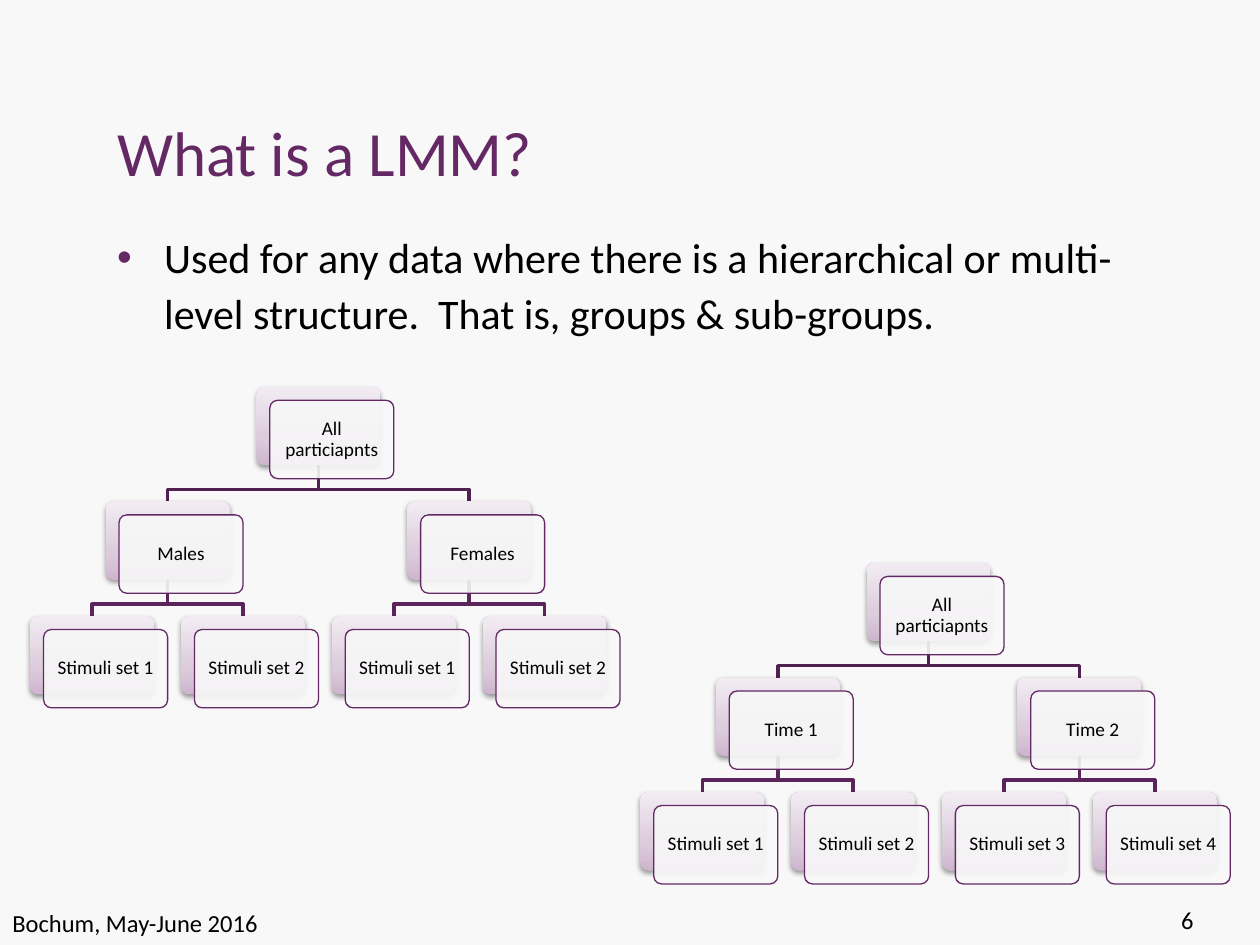
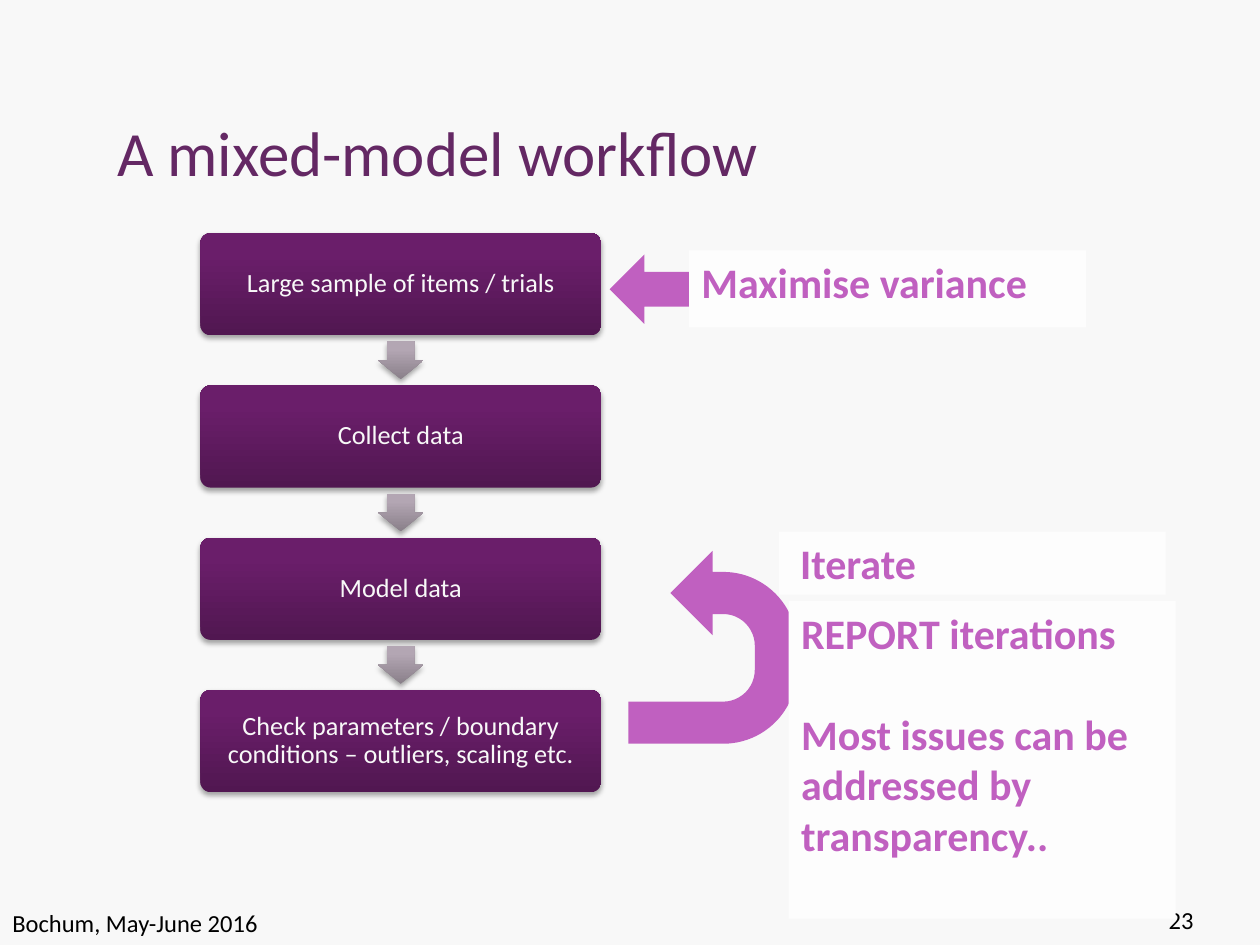
from pptx import Presentation
from pptx.dml.color import RGBColor
from pptx.enum.shapes import MSO_SHAPE as Preset
from pptx.enum.text import MSO_ANCHOR as Anchor, PP_ALIGN as Align
from pptx.oxml import parse_xml
from pptx.oxml.ns import nsdecls, qn
from pptx.util import Cm, Pt

COLORS = {
    "paper": "F8F8F8", "ink": "000000", "plum": "642864",
    "trunk": "502050", "branch": "5B245B",
    "orchid": "C060C0", "note": "FDFDFD",
}
RGB = {name: RGBColor.from_string(value) for name, value in COLORS.items()}
NODE_STOPS = [(0, "CEB6CE"), (35, "DCCCDC"), (100, "F2ECF2")]
STEP_STOPS = [(0, "511751"), (80, "6A1E6A"), (100, "6C1D6C")]
ARROW_STOPS = [(0, "8A808A"), (80, "B3A6B3"), (100, "B5A6B5")]


def write(shape, lines, size, color="ink", align=Align.LEFT, anchor=Anchor.TOP,
          bold=False, spacing=None, inset=None, wrap=True):
    frame = shape.text_frame
    frame.word_wrap = wrap
    frame.vertical_anchor = anchor
    if inset is not None:
        frame.margin_left = frame.margin_right = Cm(inset)
        frame.margin_top = frame.margin_bottom = Cm(inset)
    frame.text = "\n".join(lines)
    for paragraph in frame.paragraphs:
        paragraph.alignment = align
        paragraph.line_spacing = spacing
        paragraph.font.name = "Calibri"
        paragraph.font.size = Pt(size)
        paragraph.font.bold = bold
        paragraph.font.color.rgb = RGB[color]
    return frame.paragraphs


def shade(shape, stops, distance, opacity):
    gradient = "".join(
        f'<a:gs pos="{pos * 1000}"><a:srgbClr val="{value}"/></a:gs>' for pos, value in stops)
    properties = shape.element.spPr
    properties.append(parse_xml(
        f'<a:gradFill {nsdecls("a")} rotWithShape="1"><a:gsLst>{gradient}</a:gsLst>'
        '<a:lin ang="16200000" scaled="0"/></a:gradFill>'))
    shape.line.fill.background()
    properties.append(parse_xml(
        f'<a:effectLst {nsdecls("a")}><a:outerShdw blurRad="{Pt(3.1)}" dist="{Pt(distance)}" '
        'dir="5400000" rotWithShape="0"><a:srgbClr val="000000">'
        f'<a:alpha val="{opacity * 1000}"/></a:srgbClr></a:outerShdw></a:effectLst>'))


prs = Presentation()
prs.slide_width, prs.slide_height = Cm(25.4), Cm(19.05)
prs.slide_master.background.fill.solid()
prs.slide_master.background.fill.fore_color.rgb = RGB["paper"]

pages = []
for title, number in [("What is a LMM?", "6"), ("A mixed-model workflow", "23")]:
    page = prs.slides.add_slide(prs.slide_layouts[6])
    footer = page.shapes.add_textbox(Cm(0), Cm(18.19), Cm(17.6), Cm(1.32))
    write(footer, ["Bochum, May-June 2016"], 14)
    heading = page.shapes.add_textbox(Cm(2.11), Cm(0.76), Cm(17.2), Cm(3.18))
    write(heading, [title], 36, "plum", anchor=Anchor.BOTTOM, wrap=False)
    page_number = page.shapes.add_textbox(Cm(22.43), Cm(18.11), Cm(1.88), Cm(1.32))
    write(page_number, [number], 14, align=Align.RIGHT)
    pages.append(page.shapes)
definition, workflow = pages

usage = definition.add_textbox(Cm(2.11), Cm(4.45), Cm(22.02), Cm(12.07))
[bullet] = write(usage, ["Used for any data where there is a hierarchical or multi-level structure.  "
                         "That is, groups & sub-groups."], 24, spacing=1.1)
bullet.space_before = Pt(4.8)
bullet_format = bullet._p.get_or_add_pPr()
bullet_format.set("marL", str(Cm(0.95)))
bullet_format.set("indent", str(Cm(-0.95)))
for mark in [f'<a:buClr {nsdecls("a")}><a:srgbClr val="{COLORS["plum"]}"/></a:buClr>',
             f'<a:buFont {nsdecls("a")} typeface="Arial"/>',
             f'<a:buChar {nsdecls("a")} char="•"/>']:
    bullet_format.insert_element_before(parse_xml(mark), "a:tabLst", "a:defRPr", "a:extLst")

NODE_W, NODE_H, NODE_SHIFT = 2.5, 1.58, 0.27
COLUMN_STEP, LEVEL_STEP, STEM = 3.04, 2.31, 0.49
NODE_SPOTS = [(0, 1.5), (1, 0.5), (2, 0), (2, 1), (1, 2.5), (2, 2), (2, 3)]
LINKS = [(1, 2.5, 0.5, "branch"), (0, 1.5, 1, "trunk"), (1, 0.5, 0.5, "branch")]
trees = [
    (0.61, 7.8, ["All particiapnts", "Males", "Stimuli set 1", "Stimuli set 2",
                 "Females", "Stimuli set 1", "Stimuli set 2"]),
    (12.91, 11.35, ["All particiapnts", "Time 1", "Stimuli set 1", "Stimuli set 2",
                    "Time 2", "Stimuli set 3", "Stimuli set 4"]),
]
for tree_left, tree_top, labels in trees:
    for level, column, spread, color in LINKS:
        parent_x = tree_left + column * COLUMN_STEP + NODE_W / 2
        parent_y = tree_top + level * LEVEL_STEP + NODE_H
        child_y = tree_top + (level + 1) * LEVEL_STEP
        for side in (1, -1):
            child_x = parent_x + side * spread * COLUMN_STEP
            route = definition.build_freeform(Cm(parent_x), Cm(parent_y))
            route.add_line_segments(
                [(Cm(parent_x), Cm(parent_y + STEM)), (Cm(child_x), Cm(parent_y + STEM)),
                 (Cm(child_x), Cm(child_y))], close=False)
            link = route.convert_to_shape()
            link.shadow.inherit = False
            link.fill.background()
            link.line.color.rgb = RGB[color]
            link.line.width = Pt(2)

    for (level, column), label in zip(NODE_SPOTS, labels):
        x = tree_left + column * COLUMN_STEP
        y = tree_top + level * LEVEL_STEP
        backing, card = [
            definition.add_shape(Preset.ROUNDED_RECTANGLE, Cm(x + shift), Cm(y + shift),
                                 Cm(NODE_W), Cm(NODE_H)) for shift in (0, NODE_SHIFT)]
        backing.adjustments[0] = card.adjustments[0] = 0.1
        shade(backing, NODE_STOPS, 1.6, 38)
        card.shadow.inherit = False
        card.fill.solid()
        card.fill.fore_color.rgb = RGB["paper"]
        tint = card.element.spPr.find(qn("a:solidFill"))[0]
        tint.append(parse_xml(f'<a:alpha {nsdecls("a")} val="90000"/>'))
        card.line.color.rgb = RGB["plum"]
        card.line.width = Pt(0.75)
        write(card, [label], 11, align=Align.CENTER, anchor=Anchor.MIDDLE, spacing=0.9, inset=0.13)

STEP_LEFT, STEP_TOP, STEP_W, STEP_H, STEP_PITCH = 4.04, 4.7, 8.08, 2.06, 3.07
ARROW_W, ARROW_H = 0.91, 0.76
steps = ["Large sample of items / trials", "Collect data", "Model data",
         "Check parameters / boundary conditions – outliers, scaling etc."]
for index, label in enumerate(steps):
    y = STEP_TOP + index * STEP_PITCH
    if index:
        gap_middle = y - (STEP_PITCH - STEP_H) / 2
        arrow = workflow.add_shape(
            Preset.DOWN_ARROW, Cm(STEP_LEFT + (STEP_W - ARROW_W) / 2),
            Cm(gap_middle - ARROW_H / 2), Cm(ARROW_W), Cm(ARROW_H))
        arrow.adjustments[0], arrow.adjustments[1] = 0.6, 0.5
        shade(arrow, ARROW_STOPS, 1.8, 35)
    step = workflow.add_shape(Preset.ROUNDED_RECTANGLE, Cm(STEP_LEFT), Cm(y), Cm(STEP_W), Cm(STEP_H))
    step.adjustments[0] = 0.1
    shade(step, STEP_STOPS, 1.8, 35)
    write(step, [label], 15, "paper", Align.CENTER, Anchor.MIDDLE, spacing=0.9, inset=0.15)

remarks = [
    (Preset.RECTANGLE, 13.89, 5.05, 8, 1.55, ["Maximise variance"]),
    (Preset.LEFT_ARROW, 12.29, 5.13, 1.6, 1.4, []),
    (Preset.RECTANGLE, 15.7, 10.72, 7.8, 1.27, ["Iterate"]),
    (Preset.U_TURN_ARROW, 12.42, 11.35, 3.89, 3.4, []),
    (Preset.RECTANGLE, 15.9, 12.12, 7.8, 6.4,
     ["REPORT iterations", "Most issues can be addressed by transparency.."]),
]
for preset, x, y, width, height, lines in remarks:
    remark = workflow.add_shape(preset, Cm(x), Cm(y), Cm(width), Cm(height))
    remark.shadow.inherit = False
    remark.fill.solid()
    remark.fill.fore_color.rgb = RGB["note" if lines else "orchid"]
    remark.line.fill.background()
    if lines:
        paragraphs = write(remark, lines, 24, "orchid", bold=True)
        for later in paragraphs[1:]:
            later.space_before = Pt(29)
    if lines == ["Iterate"]:
        remark.text_frame.margin_left = Cm(0.43)
    if preset == Preset.U_TURN_ARROW:
        remark.rotation = 270
        remark.element.spPr.find(qn("a:xfrm")).set("flipV", "1")

prs.save("out.pptx")
